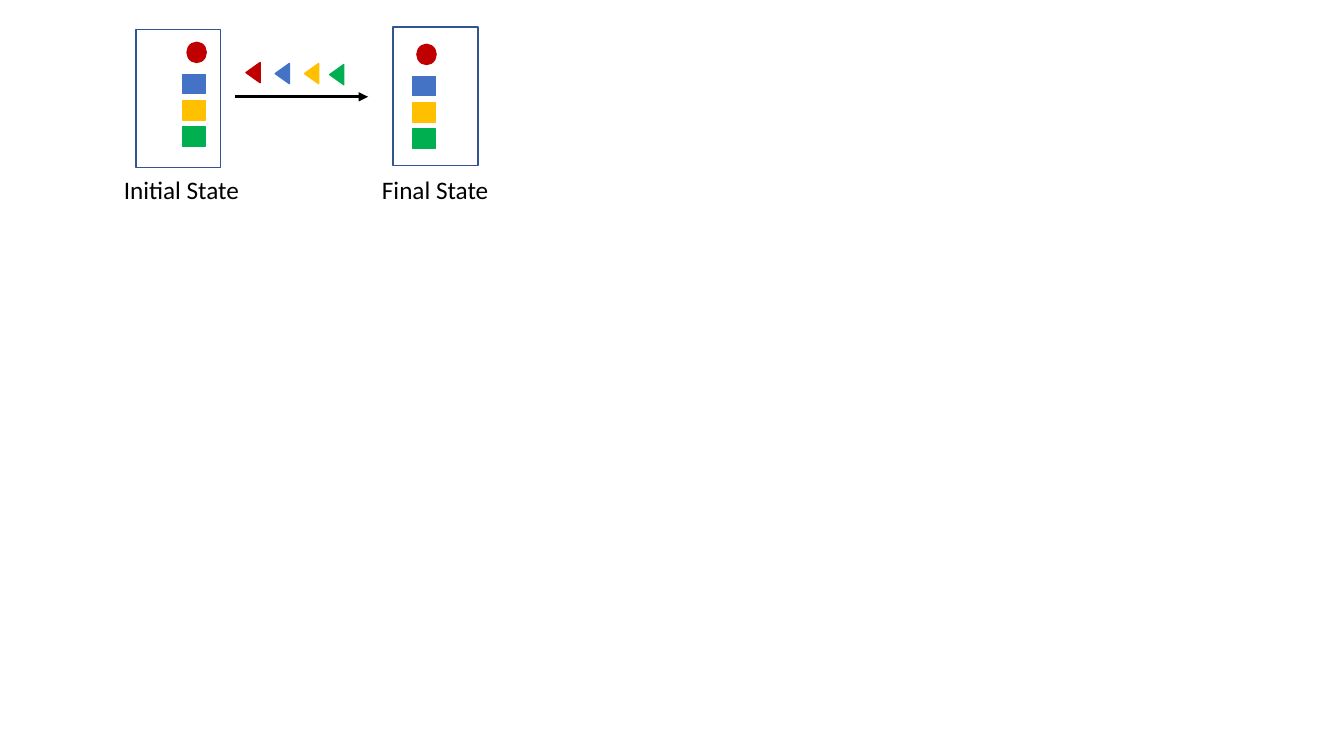
import pptx
import pptx.util
import pptx.dml.color
import pptx.enum.shapes
import pptx.enum.text
import pptx.oxml.ns
import lxml.etree

SHAPES = pptx.enum.shapes.MSO_SHAPE
RED = "C00000"
BLOCK_COLORS = ["4472C4", "FFC000", "00B050"]


def color(value):
    return pptx.dml.color.RGBColor.from_string(value)


class StateDiagram:
    cell = 0.1
    font = {"name": "Calibri", "size": pptx.util.Pt(18)}
    text_color = "000000"
    frame_color = "325491"
    frame_size = (8.4, 13.7)
    ball_size = (1.9, 2)
    ball_offset = (0.45, -3.2)
    block_size = (2.3, 1.9)
    block_pitch = 2.6
    marker_size = (2, 1.4)

    def __init__(self, slide):
        self.slide = slide

    def grid(self, *cells):
        return [pptx.util.Inches(count * self.cell) for count in cells]

    def shape(self, kind, left, top, size, line, fill=None, rotation=0):
        shape = self.slide.shapes.add_shape(kind, *self.grid(left, top, *size))
        shape.shadow.inherit = False
        shape.rotation = rotation
        shape.line.color.rgb = color(line)
        shape.line.width = pptx.util.Pt(1)
        if fill:
            shape.fill.solid()
            shape.fill.fore_color.rgb = color(fill)
        else:
            shape.fill.background()

    def state(self, frame, stack):
        self.shape(SHAPES.RECTANGLE, *frame, self.frame_size, self.frame_color)
        left, top = stack
        across, down = self.ball_offset
        self.shape(SHAPES.OVAL, left + across, top + down, self.ball_size, RED, RED)
        for row, fill in enumerate(BLOCK_COLORS):
            self.shape(SHAPES.RECTANGLE, left, top + row * self.block_pitch,
                       self.block_size, fill, fill)

    def marker(self, left, top, fill):
        self.shape(SHAPES.ISOSCELES_TRIANGLE, left, top, self.marker_size,
                   fill, fill, 270)

    def arrow(self, start, end, row):
        connector = self.slide.shapes.add_connector(
            pptx.enum.shapes.MSO_CONNECTOR.STRAIGHT, *self.grid(start, row, end, row))
        connector.line.color.rgb = color(self.text_color)
        connector.line.width = pptx.util.Pt(2.25)
        name = pptx.oxml.ns.qn
        line = connector.line._get_or_add_ln()
        lxml.etree.SubElement(line, name("a:tailEnd"), type="triangle")
        properties = line.getparent()
        lxml.etree.SubElement(properties, name("a:effectLst"))

    def label(self, text, left, top, width):
        box = self.slide.shapes.add_textbox(*self.grid(left, top, width, 4))
        frame = box.text_frame
        frame.word_wrap = False
        frame.auto_size = pptx.enum.text.MSO_AUTO_SIZE.SHAPE_TO_FIT_TEXT
        run = frame.paragraphs[0].add_run()
        run.text = text
        for attribute, value in self.font.items():
            setattr(run.font, attribute, value)
        run.font.color.rgb = color(self.text_color)


def main():
    presentation = pptx.Presentation()
    presentation.slide_width = pptx.util.Inches(13.33)
    presentation.slide_height = pptx.util.Inches(7.5)
    slide = presentation.slides.add_slide(presentation.slide_layouts[6])
    diagram = StateDiagram(slide)

    diagram.state(frame=(13.5, 2.9), stack=(18.1, 7.4))
    diagram.arrow(23.3, 36.5, 9.6)
    diagram.state(frame=(39, 2.7), stack=(40.9, 7.6))
    diagram.label("Initial State", 11.3, 16.8, 13.6)
    diagram.label("Final State", 36.9, 16.8, 12.7)

    places = [(24.1, 6.5), (27, 6.6), (29.9, 6.6), (32.4, 6.7)]
    for place, fill in zip(places, [RED, *BLOCK_COLORS]):
        diagram.marker(*place, fill)

    presentation.save("out.pptx")


if __name__ == "__main__":
    main()
